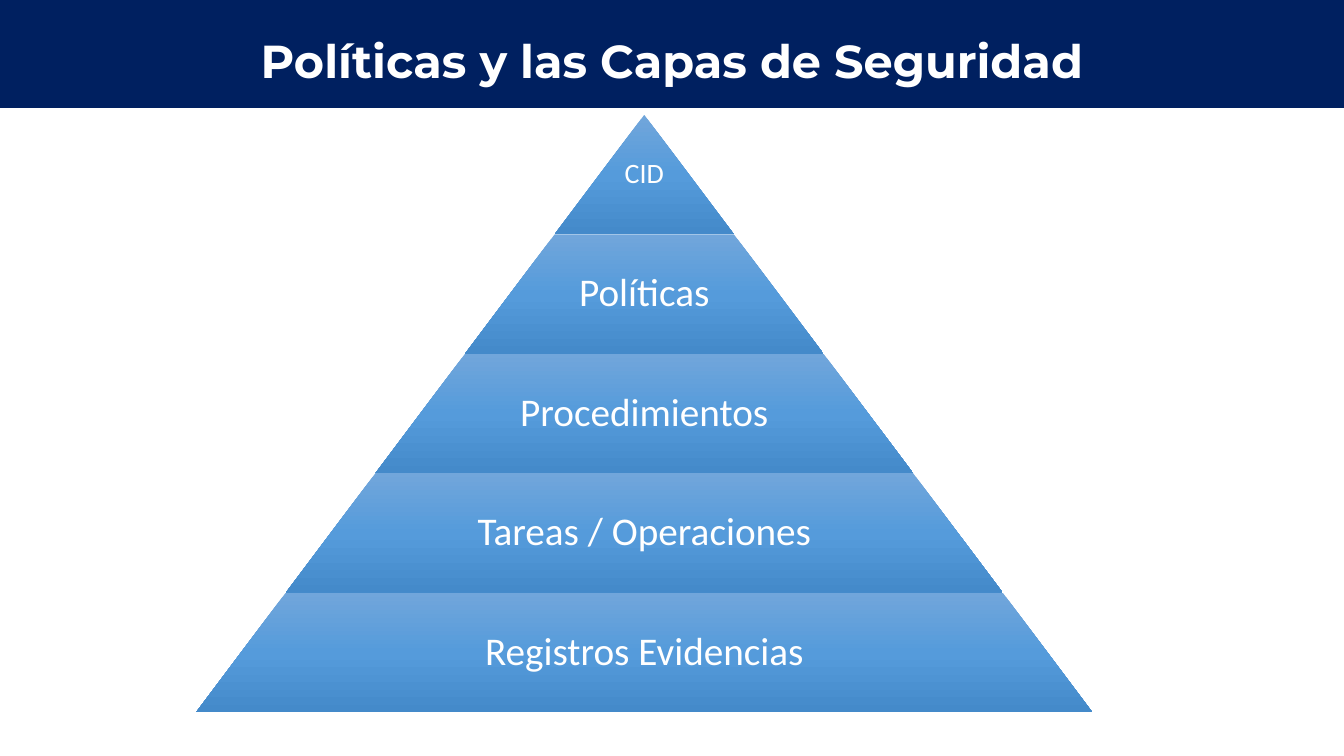
import copy

import pptx
import pptx.dml.color
import pptx.enum.shapes
import pptx.enum.text
import pptx.oxml.ns
import pptx.util

Inches = pptx.util.Inches
Pt = pptx.util.Pt
ANCHOR = pptx.enum.text.MSO_ANCHOR
SHAPE = pptx.enum.shapes.MSO_SHAPE

# Content, from the top of the pyramid to its base: label, size, text width share, inset
TITLE = "Políticas y las Capas de Seguridad"
LAYERS = [
    ("CID", 20, 1, 0.03),
    ("Políticas", 28, 0.65, 0.04),
    ("Procedimientos", 28, 0.65, 0.04),
    ("Tareas / Operaciones", 28, 0.65, 0.04),
    ("Registros Evidencias", 28, 0.65, 0.04),
]

# Formats
NAVY, WHITE = "002060", "FFFFFF"
LAYER_GRADIENT = [(0, "71A6DB"), (0.5, "559BDB"), (1, "448ACA")]
TITLE_FONT = {"name": "Montserrat", "size": Pt(33), "bold": True}
LAYER_FONT = {"name": "Calibri", "bold": False}

# Pyramid geometry in inches
CENTER, TOP = 6.39, 1.14
LAYER_HEIGHT, SLOPE = 1.185, 0.75


def color(hex_string):
    return pptx.dml.color.RGBColor.from_string(hex_string)


def write_text(shape, text, font, line_spacing, anchor, insets=(0.1, 0.05)):
    frame = shape.text_frame
    side, edge = (Inches(inset) for inset in insets)
    settings = {
        "word_wrap": True,
        "auto_size": pptx.enum.text.MSO_AUTO_SIZE.NONE,
        "vertical_anchor": anchor,
        "margin_left": side,
        "margin_right": side,
        "margin_top": edge,
        "margin_bottom": edge,
    }
    for name, value in settings.items():
        setattr(frame, name, value)
    paragraph = frame.paragraphs[0]
    paragraph.text = text
    paragraph.alignment = pptx.enum.text.PP_ALIGN.CENTER
    paragraph.line_spacing = line_spacing
    for name, value in font.items():
        setattr(paragraph.font, name, value)
    paragraph.font.color.rgb = color(WHITE)


def add_plain_shape(slide, kind, left, top, width, height):
    shape = slide.shapes.add_shape(
        kind, Inches(left), Inches(top), Inches(width), Inches(height))
    shape.shadow.inherit = False
    shape.line.fill.background()
    return shape


def fill_gradient(shape, stops):
    shape.fill.gradient()
    shape.fill.gradient_angle = 270
    stop_list = shape.element.find(".//" + pptx.oxml.ns.qn("a:gsLst"))
    stop_list.insert(1, copy.deepcopy(stop_list[0]))
    for stop, (position, hex_string) in zip(shape.fill.gradient_stops, stops):
        stop.position = position
        stop.color.rgb = color(hex_string)


def add_banner(slide):
    banner = add_plain_shape(slide, SHAPE.RECTANGLE, 0, 0, 13.33, 1.07)
    banner.fill.solid()
    banner.fill.fore_color.rgb = color(NAVY)

    # The title stands in front of the banner
    title = slide.shapes.title
    title.left, title.top = Inches(0), Inches(0.13)
    title.width, title.height = Inches(13.33), Inches(0.74)
    title.element.getparent().append(title.element)
    write_text(title, TITLE, TITLE_FONT, Pt(50), ANCHOR.TOP)


def add_pyramid(slide):
    for level, (label, size, share, inset) in enumerate(LAYERS):
        top = TOP + level * LAYER_HEIGHT
        width = 2 * SLOPE * LAYER_HEIGHT * (level + 1)
        layer = add_plain_shape(
            slide, SHAPE.TRAPEZOID, CENTER - width / 2, top, width, LAYER_HEIGHT)
        layer.adjustments[0] = SLOPE
        fill_gradient(layer, LAYER_GRADIENT)

        text_width = width * share
        text_box = slide.shapes.add_textbox(
            Inches(CENTER - text_width / 2), Inches(top),
            Inches(text_width), Inches(LAYER_HEIGHT))
        font = {**LAYER_FONT, "size": Pt(size)}
        write_text(text_box, label, font, 0.9, ANCHOR.MIDDLE, (inset, inset))


def main():
    presentation = pptx.Presentation()
    presentation.slide_width = Inches(13.33)
    presentation.slide_height = Inches(7.5)
    slide = presentation.slides.add_slide(presentation.slide_layouts[5])
    add_banner(slide)
    add_pyramid(slide)
    presentation.save("out.pptx")


if __name__ == "__main__":
    main()
